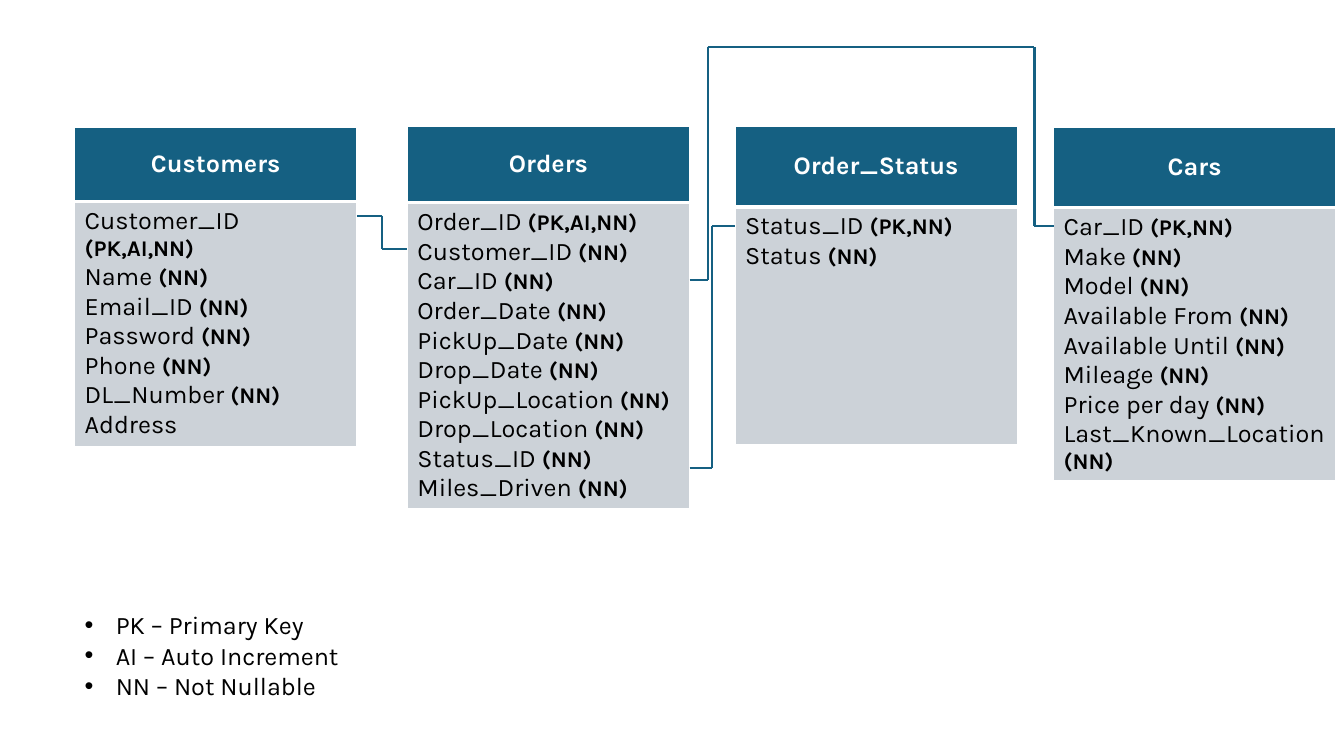
from dataclasses import dataclass
from itertools import pairwise

from lxml.etree import SubElement
from pptx import Presentation
from pptx.dml.color import RGBColor as RGB
from pptx.enum.shapes import MSO_CONNECTOR as CONN
from pptx.enum.text import MSO_ANCHOR as ANCHOR, MSO_AUTO_SIZE as FIT, PP_ALIGN as ALIGN
from pptx.oxml.ns import qn
from pptx.util import Inches, Pt


@dataclass(frozen=True)
class Theme:
    """Colours, font and sizes of the slide."""
    font: str = "Karla"
    accent: RGB = RGB(0x15, 0x60, 0x82)
    body: RGB = RGB(0xCC, 0xD2, 0xD8)
    ink: RGB = RGB(0, 0, 0)
    paper: RGB = RGB(0xFF, 0xFF, 0xFF)
    text: int = 18
    note: int = 16
    line: float = 1.5
    border: int = 1
    rule: int = 3


@dataclass(frozen=True)
class Box:
    """A rectangle in percent of the slide's width and height."""
    x: float
    y: float
    w: float
    h: float

    @property
    def right(self):
        """Return the right edge."""
        return self.x + self.w


T = Theme()
W, H = Inches(13.33), Inches(7.5)
TABLE_W = 21

# name: (left, top, header height, body height, fields with constraints)
ENTITIES = {
    "Customers": (5.55, 16.8, 9.87, 32.4, [
        ("Customer_ID", "PK,AI,NN"), ("Name", "NN"), ("Email_ID", "NN"),
        ("Password", "NN"), ("Phone", "NN"), ("DL_Number", "NN"), ("Address", "")]),
    "Orders": (30.31, 16.67, 10.13, 26.13, [
        ("Order_ID", "PK,AI,NN"), ("Customer_ID", "NN"), ("Car_ID", "NN"),
        ("Order_Date", "NN"), ("PickUp_Date", "NN"), ("Drop_Date", "NN"),
        ("PickUp_Location", "NN"), ("Drop_Location", "NN"), ("Status_ID", "NN"),
        ("Miles_Driven", "NN")]),
    "Order_Status": (54.69, 16.67, 10.67, 31.47, [
        ("Status_ID", "PK,NN"), ("Status", "NN")]),
    "Cars": (78.39, 16.8, 10.67, 28.53, [
        ("Car_ID", "PK,NN"), ("Make", "NN"), ("Model", "NN"),
        ("Available From", "NN"), ("Available Until", "NN"), ("Mileage", "NN"),
        ("Price per day", "NN"), ("Last_Known_Location", "NN")]),
}
# source, target, heights of the level runs, places of the upright runs between them
LINKS = [
    ("Orders", "Order_Status", [61.87, 29.87], [52.96]),
    ("Orders", "Cars", [37.07, 6.27, 29.87], [52.66, 76.97]),
    ("Customers", "Orders", [28.53, 32.93], [28.43]),
]
LEGEND = ["PK – Primary Key", "AI – Auto Increment", "NN – Not Nullable"]


def across(share):
    """Turn a percentage of the slide's width into a length."""
    return round(W * share / 100)


def down(share):
    """Turn a percentage of the slide's height into a length."""
    return round(H * share / 100)


def add_text(p, text, size, color, bold=False):
    """Add a formatted run to a paragraph."""
    r = p.add_run()
    r.text = text
    r.font.name, r.font.size, r.font.bold = T.font, Pt(size), bold
    r.font.color.rgb = color


def style_cell(cell, fill, bottom):
    """Border a cell in the paper colour and fill it."""
    props = cell._tc.get_or_add_tcPr()
    for side, width in zip("LRTB", (T.border, T.border, T.border, bottom)):
        ln = SubElement(props, qn(f"a:ln{side}"), w=str(Pt(width)))
        solid = SubElement(ln, qn("a:solidFill"))
        SubElement(solid, qn("a:srgbClr"), val=str(T.paper))
    cell.fill.solid()
    cell.fill.fore_color.rgb = fill


def add_entity(s, box, head_h, name, fields):
    """Draw one database table with its header and field list."""
    frame = s.shapes.add_table(2, 1, across(box.x), down(box.y), across(box.w), down(box.h))
    table = frame.table
    table.horz_banding = False
    table.rows[0].height, table.rows[1].height = down(head_h), down(box.h - head_h)
    head, body = table.cell(0, 0), table.cell(1, 0)
    style_cell(head, T.accent, T.rule)
    style_cell(body, T.body, T.border)
    head.vertical_anchor = ANCHOR.MIDDLE
    p = head.text_frame.paragraphs[0]
    p.alignment = ALIGN.CENTER
    add_text(p, name, T.text, T.paper, True)
    tf = body.text_frame
    for i, (field, rules) in enumerate(fields):
        p = tf.add_paragraph() if i else tf.paragraphs[0]
        add_text(p, f"{field} " if rules else field, T.text, T.ink)
        if rules:
            add_text(p, f"({rules})", T.note, T.ink, True)


def add_link(s, source, target, levels, lanes):
    """Draw a stepped line from the right of one box to the left of another."""
    stops = pairwise([source.right, *lanes, target.x])
    points = [(x, y) for ends, y in zip(stops, levels) for x in ends]
    group = s.shapes.add_group_shape()
    for (x1, y1), (x2, y2) in pairwise(points):
        line = group.shapes.add_connector(
            CONN.STRAIGHT, across(x1), down(y1), across(x2), down(y2))
        line.line.color.rgb, line.line.width = T.accent, Pt(T.line)
        SubElement(line._element.spPr, qn("a:effectLst"))


def add_legend(s, box, items):
    """Write the bulleted key to the abbreviations."""
    sp = s.shapes.add_textbox(across(box.x), down(box.y), across(box.w), down(box.h))
    tf = sp.text_frame
    tf.word_wrap, tf.auto_size = True, FIT.SHAPE_TO_FIT_TEXT
    for i, item in enumerate(items):
        p = tf.add_paragraph() if i else tf.paragraphs[0]
        add_text(p, item, T.text, T.ink)
        props = p._p.get_or_add_pPr()
        props.set("marL", str(Inches(0.31)))
        props.set("indent", str(-Inches(0.31)))
        SubElement(props, qn("a:buFont"), typeface="Arial")
        SubElement(props, qn("a:buChar"), char="•")


def main():
    """Build the schema slide and save it."""
    prs = Presentation()
    prs.slide_width, prs.slide_height = W, H
    s = prs.slides.add_slide(prs.slide_layouts[6])
    boxes = {}
    for name, (x, y, head_h, body_h, fields) in ENTITIES.items():
        boxes[name] = Box(x, y, TABLE_W, head_h + body_h)
        add_entity(s, boxes[name], head_h, name, fields)
    for source, target, levels, lanes in LINKS:
        add_link(s, boxes[source], boxes[target], levels, lanes)
    add_legend(s, Box(5.55, 80, 87.25, 13.47), LEGEND)
    prs.save("out.pptx")


if __name__ == "__main__":
    main()
